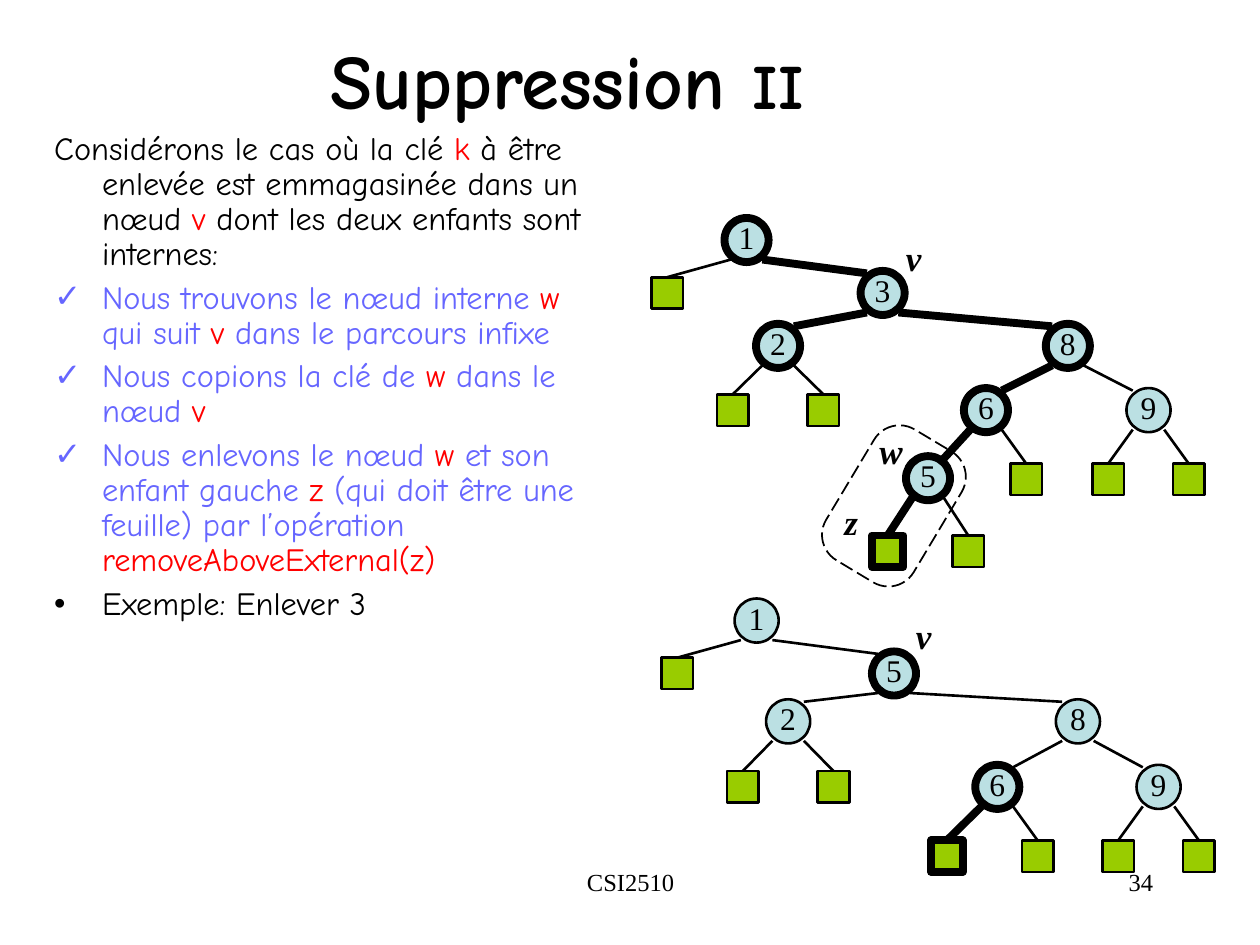
from lxml.etree import SubElement
from pptx import Presentation
from pptx.dml.color import RGBColor
from pptx.enum.dml import MSO_LINE
from pptx.enum.shapes import MSO_CONNECTOR, MSO_SHAPE
from pptx.enum.text import MSO_ANCHOR, MSO_AUTO_SIZE, PP_ALIGN
from pptx.oxml.ns import qn
from pptx.util import Inches, Pt

BLACK, RED, VIOLET = "000000", "FF0000", "6666FF"
NODE_FILL, LEAF_FILL = "BBE0E3", "99CC00"
HEADING_FONT, DIAGRAM_FONT = "Comic Neue", "Times New Roman"
NODE_SIZE, LEAF_SIZE, EDGE_INSET = 0.35, 0.25, 0.05
THICK, THIN = 4.5, 1.5

# bullet, colour, and pieces of text in which every second piece is red
BODY = [
    ("", BLACK, ["Considérons le cas où la clé ", "k",
                 " à être enlevée est emmagasinée dans un nœud ", "v",
                 " dont les deux enfants sont internes:"]),
    ("✓", VIOLET, ["Nous trouvons le nœud interne ", "w", " qui suit ", "v",
                   " dans le parcours infixe"]),
    ("✓", VIOLET, ["Nous copions la clé de ", "w", " dans le nœud ", "v"]),
    ("✓", VIOLET, ["Nous enlevons le nœud ", "w", " et son enfant gauche ", "z",
                   " (qui doit être une feuille) par l’opération ",
                   "removeAboveExternal(z)"]),
    ("•", BLACK, ["Exemple: Enlever 3"]),
]

TREE_BEFORE = {
    "nodes": [("1", "", 5.75, 1.73), ("3", "1", 6.83, 2.15), ("2", "3", 6, 2.57),
              ("8", "3", 8.3, 2.57), ("6", "8", 7.65, 3.08), ("9", "8", 8.94, 3.08),
              ("5", "6", 7.19, 3.62)],
    "leaves": [("1", 5.17, 2.2), ("2", 5.69, 3.13), ("2", 6.41, 3.13),
               ("6", 8.02, 3.68), ("9", 8.67, 3.68), ("9", 9.31, 3.68),
               ("5", 6.92, 4.25), ("5", 7.56, 4.25)],
    "visited": "123865",
    "visited_leaf": (6.92, 4.25),
}
TREE_AFTER = {
    "nodes": [("1", "", 5.83, 4.75), ("5", "1", 6.92, 5.17), ("2", "5", 6.08, 5.55),
              ("8", "5", 8.38, 5.55), ("6", "8", 7.74, 6.07), ("9", "8", 9.02, 6.07)],
    "leaves": [("1", 5.25, 5.22), ("2", 5.77, 6.12), ("2", 6.49, 6.12),
               ("6", 7.39, 6.67), ("6", 8.11, 6.67), ("9", 8.75, 6.67),
               ("9", 9.39, 6.67)],
    "visited": "56",
    "visited_leaf": (7.39, 6.67),
}


def colour(value):
    return RGBColor.from_string(value)


def place(shape, left, top, width, height):
    shape.left, shape.top = Inches(left), Inches(top)
    shape.width, shape.height = Inches(width), Inches(height)


def set_font(paragraph, name, size, bold=False, italic=False):
    font = paragraph.font
    font.name, font.size = name, Pt(size)
    font.bold, font.italic = bold, italic
    font.color.rgb = colour(BLACK)


def set_bullet(paragraph, bullet, value):
    properties = paragraph._p.get_or_add_pPr()
    properties.set("marL", str(Inches(0.38)))
    properties.set("indent", str(Inches(-0.38)))
    if not bullet:
        SubElement(properties, qn("a:buNone"))
        return
    bullet_colour = SubElement(properties, qn("a:buClr"))
    SubElement(bullet_colour, qn("a:srgbClr"), val=value)
    SubElement(properties, qn("a:buChar"), char=bullet)


def add_title(page):
    title = page.shapes.title
    place(title, 0.25, 0, 8.5, 1.25)
    title.text_frame.vertical_anchor = MSO_ANCHOR.MIDDLE
    title.text_frame.auto_size = MSO_AUTO_SIZE.NONE
    paragraph = title.text_frame.paragraphs[0]
    paragraph.alignment = PP_ALIGN.CENTER
    set_font(paragraph, HEADING_FONT, 44, bold=True)
    paragraph.add_run().text = "Suppression "
    numeral = paragraph.add_run()
    numeral.text = "II"
    numeral.font.size = Pt(36)


def add_body(page):
    body = page.placeholders[1]
    place(body, 0.33, 1, 4.58, 4.5)
    frame = body.text_frame
    frame.auto_size = MSO_AUTO_SIZE.NONE
    for index, (bullet, value, pieces) in enumerate(BODY):
        paragraph = frame.add_paragraph() if index else frame.paragraphs[0]
        set_bullet(paragraph, bullet, value)
        paragraph.line_spacing = 0.9
        paragraph.space_before = Pt(5 if index else 0)
        set_font(paragraph, HEADING_FONT, 18.5)
        for position, piece in enumerate(pieces):
            span = paragraph.add_run()
            span.text = piece
            span.font.color.rgb = colour(RED if position % 2 else value)


def add_text(page, text, left, top, width, height, alignment):
    box = page.shapes.add_textbox(Inches(left), Inches(top), Inches(width), Inches(height))
    box.text_frame.word_wrap = True
    paragraph = box.text_frame.paragraphs[0]
    paragraph.text = text
    paragraph.alignment = alignment
    set_font(paragraph, DIAGRAM_FONT, 14)


def add_label(page, text, left, top, width):
    box = page.shapes.add_textbox(Inches(left), Inches(top), Inches(width), Inches(0.44))
    box.text_frame.word_wrap = False
    box.text_frame.auto_size = MSO_AUTO_SIZE.SHAPE_TO_FIT_TEXT
    paragraph = box.text_frame.paragraphs[0]
    paragraph.text = text
    paragraph.alignment = PP_ALIGN.CENTER
    set_font(paragraph, DIAGRAM_FONT, 20, bold=True, italic=True)


def add_outlined(page, kind, left, top, width, height, fill, weight):
    shape = page.shapes.add_shape(kind, Inches(left), Inches(top), Inches(width), Inches(height))
    shape.shadow.inherit = False
    if fill:
        shape.fill.solid()
        shape.fill.fore_color.rgb = colour(fill)
    else:
        shape.fill.background()
    shape.line.color.rgb = colour(BLACK)
    shape.line.width = Pt(weight)
    return shape


def add_node(page, key, left, top, weight):
    node = add_outlined(page, MSO_SHAPE.OVAL, left, top, NODE_SIZE, NODE_SIZE, NODE_FILL, weight)
    frame = node.text_frame
    frame.word_wrap = False
    frame.vertical_anchor = MSO_ANCHOR.MIDDLE
    frame.margin_left = frame.margin_right = frame.margin_top = 0
    frame.margin_bottom = Inches(0.05)
    paragraph = frame.paragraphs[0]
    paragraph.text = key
    paragraph.alignment = PP_ALIGN.CENTER
    set_font(paragraph, DIAGRAM_FONT, 18)


def add_edge(page, start, end, weight):
    edge = page.shapes.add_connector(MSO_CONNECTOR.STRAIGHT, *map(Inches, start + end))
    edge.line.color.rgb = colour(BLACK)
    edge.line.width = Pt(weight)
    SubElement(edge._element.spPr, qn("a:effectLst"))
    return edge


def side_point(left, top, to_right, drop):
    return left + (NODE_SIZE - EDGE_INSET if to_right else EDGE_INSET), top + drop


def add_tree(page, tree):
    places = {key: (left, top) for key, _, left, top in tree["nodes"]}
    visited = tree["visited"]
    for key, parent, left, top in tree["nodes"]:
        add_node(page, key, left, top, THICK if key in visited else THIN)
        if parent:
            to_right = left > places[parent][0]
            weight = THICK if key in visited and parent in visited else THIN
            add_edge(page, side_point(*places[parent], to_right, 0.33),
                     side_point(left, top, not to_right, 0.02), weight)
    for parent, left, top in tree["leaves"]:
        weight = THICK if (left, top) == tree["visited_leaf"] else THIN
        leaf = add_outlined(page, MSO_SHAPE.RECTANGLE, left, top,
                            LEAF_SIZE, LEAF_SIZE, LEAF_FILL, weight)
        start = side_point(*places[parent], left > places[parent][0], 0.33)
        edge = add_edge(page, start, (left + LEAF_SIZE / 2, top), weight)
        edge.end_connect(leaf, 0)


def add_removal_outline(page):
    outline = add_outlined(page, MSO_SHAPE.ROUNDED_RECTANGLE, 6.49, 3.61, 1.21, 0.81, None, 1)
    outline.adjustments[0] = 0.29
    outline.rotation = 300.9
    outline.line.dash_style = MSO_LINE.LONG_DASH


def main():
    deck = Presentation()
    deck.slide_width, deck.slide_height = Inches(10), Inches(7.5)
    page = deck.slides.add_slide(deck.slide_layouts[1])
    add_title(page)
    add_body(page)
    add_text(page, "CSI2510", 3.42, 6.83, 3.17, 0.5, PP_ALIGN.CENTER)
    add_text(page, "34", 7.17, 6.83, 2.08, 0.5, PP_ALIGN.RIGHT)
    for tree in (TREE_BEFORE, TREE_AFTER):
        add_tree(page, tree)
    for text, left, top, width in (("v", 7.09, 1.83, 0.32), ("w", 6.88, 3.36, 0.38),
                                   ("z", 6.6, 3.92, 0.31), ("v", 7.17, 4.83, 0.32)):
        add_label(page, text, left, top, width)
    add_removal_outline(page)
    deck.save("out.pptx")


if __name__ == "__main__":
    main()
